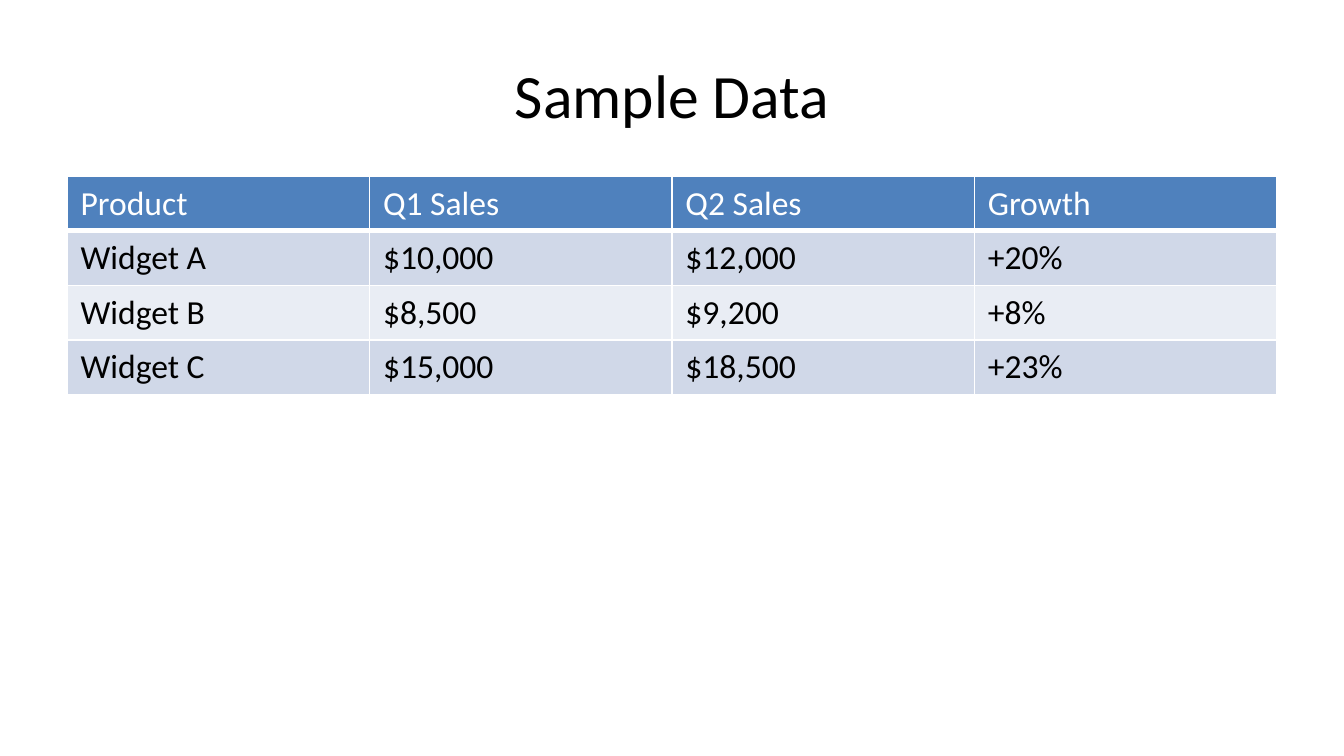
from dataclasses import dataclass

from lxml.etree import SubElement
from pptx import Presentation
from pptx.dml.color import RGBColor
from pptx.enum.text import MSO_ANCHOR, PP_ALIGN
from pptx.oxml.ns import qn
from pptx.util import Pt

SCALE = 9525  # EMU in one px, 96 px to the inch


@dataclass(frozen=True)
class Theme:
    font: str = "Calibri"
    title: int = 33
    body: int = 18
    ink: str = "000000"
    paper: str = "FFFFFF"
    head: str = "4F81BD"
    bands: tuple = ("D0D8E8", "E9EDF4")
    thin: int = 1
    thick: int = 3


THEME = Theme()

SALES = [
    ("Product", "Q1 Sales", "Q2 Sales", "Growth"),
    ("Widget A", "$10,000", "$12,000", "+20%"),
    ("Widget B", "$8,500", "$9,200", "+8%"),
    ("Widget C", "$15,000", "$18,500", "+23%"),
]


def px(*sizes):
    return [size * SCALE for size in sizes]


def write(frame, text, size, color, align=PP_ALIGN.LEFT):
    para = frame.paragraphs[0]
    para.text = text
    para.alignment = align
    font = para.font
    font.name = THEME.font
    font.size = Pt(size)
    font.bold = False
    font.color.rgb = RGBColor.from_string(color)


def add_title(slide, text, box):
    frame = slide.shapes.add_textbox(*px(*box)).text_frame
    frame.word_wrap = True
    frame.vertical_anchor = MSO_ANCHOR.MIDDLE
    write(frame, text, THEME.title, THEME.ink, PP_ALIGN.CENTER)


def add_rules(cell, bottom):
    """Draw the cell's four borders; call before filling, as the schema orders."""
    props = cell._tc.get_or_add_tcPr()
    for side in "LRTB":
        width = bottom if side == "B" else THEME.thin
        line = SubElement(props, qn(f"a:ln{side}"), w=str(Pt(width)))
        fill = SubElement(line, qn("a:solidFill"))
        SubElement(fill, qn("a:srgbClr"), val=THEME.paper)


def style_cell(cell, text, row):
    head = row == 0
    back = THEME.head if head else THEME.bands[(row - 1) % 2]
    add_rules(cell, THEME.thick if head else THEME.thin)
    cell.fill.solid()
    cell.fill.fore_color.rgb = RGBColor.from_string(back)
    color = THEME.paper if head else THEME.ink
    write(cell.text_frame, text, THEME.body, color)


def add_grid(slide, data, left, top, width, step):
    box = px(left, top, width, step * len(data))
    table = slide.shapes.add_table(len(data), len(data[0]), *box).table
    for row, texts in enumerate(data):
        for col, text in enumerate(texts):
            style_cell(table.cell(row, col), text, row)


def main():
    deck = Presentation()
    deck.slide_width, deck.slide_height = px(960, 540)
    slide = deck.slides.add_slide(deck.slide_layouts[6])
    add_title(slide, "Sample Data", (48, 22, 864, 90))
    add_grid(slide, SALES, left=48, top=126, width=864, step=39)
    deck.save("out.pptx")


if __name__ == "__main__":
    main()
